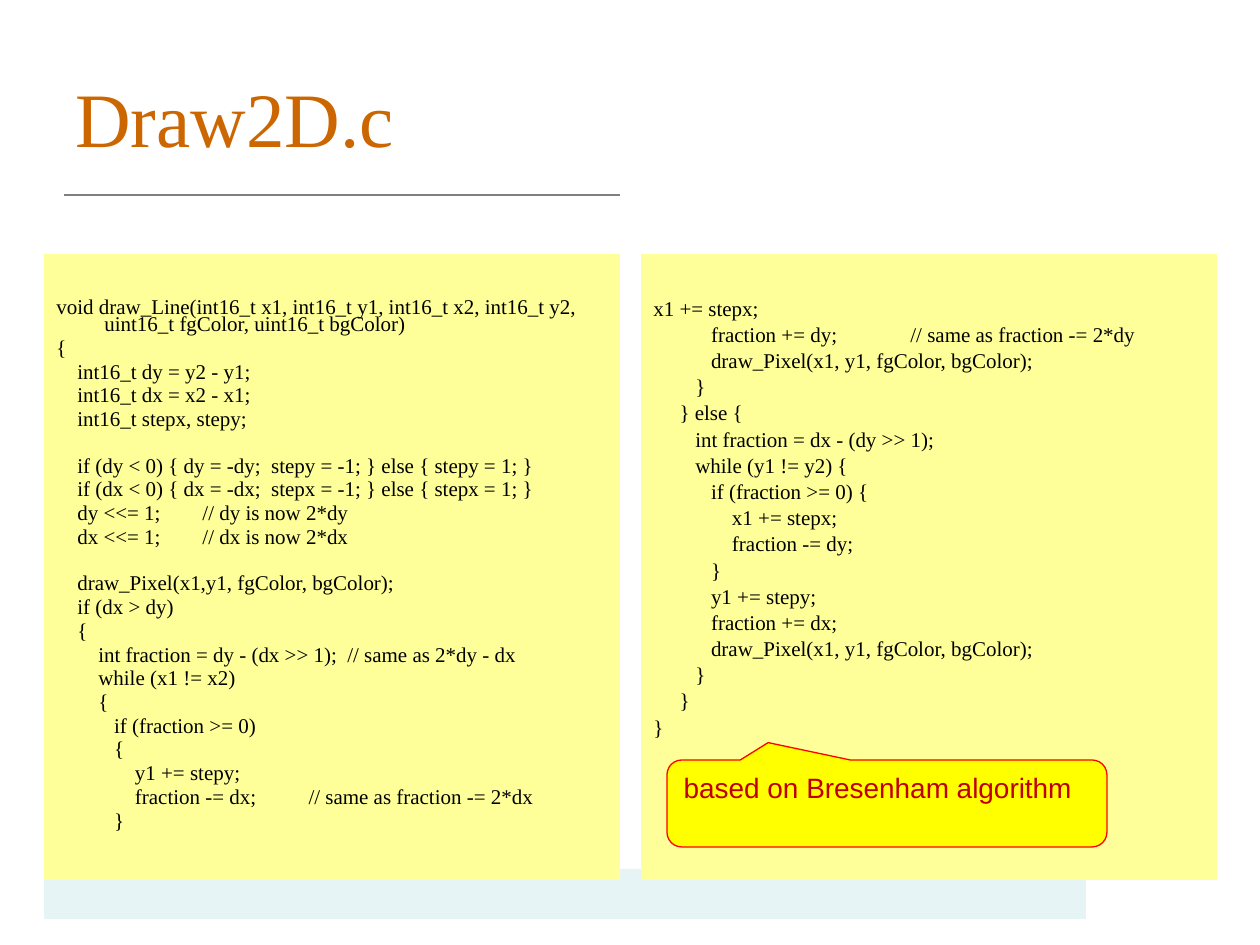
"""Build the Draw2D.c slide with two code panels and a callout."""
from dataclasses import dataclass

from lxml import etree
from pptx import Presentation
from pptx.dml.color import RGBColor
from pptx.enum.shapes import MSO_CONNECTOR, MSO_SHAPE
from pptx.enum.text import MSO_ANCHOR, PP_ALIGN
from pptx.oxml.ns import qn
from pptx.util import Emu, Pt

RECTANGLE = MSO_SHAPE.RECTANGLE
CALLOUT = MSO_SHAPE.ROUNDED_RECTANGULAR_CALLOUT
STRAIGHT = MSO_CONNECTOR.STRAIGHT
TOP, MIDDLE = MSO_ANCHOR.TOP, MSO_ANCHOR.MIDDLE
LEFT = PP_ALIGN.LEFT
EMU_PER_PX = 914400 / 126


@dataclass(frozen=True)
class Theme:
    title: str = "CC6600"
    rule: str = "808080"
    band: str = "E7F4F5"
    panel: str = "FFFF99"
    code: str = "000000"
    callout: str = "FFFF00"
    callout_line: str = "FF0000"
    callout_text: str = "C00000"
    serif: str = "Times New Roman"
    sans: str = "Arial"
    title_size: int = 44
    code_size: int = 12
    callout_size: int = 16
    line_width: float = 0.75
    code_gap: float = 3.45
    natural_line: float = 13.8


@dataclass(frozen=True)
class Box:
    left: int
    top: int
    width: int
    height: int


@dataclass(frozen=True)
class CodePanel:
    box: Box
    line_spacing: float
    code: str


THEME = Theme()
BAND = Box(44, 869, 1042, 50)
TITLE = Box(63, 38, 1134, 157)
CALLOUT_BOX = Box(667, 760, 440, 87)
CODE_TOP = 46
CODE_INDENT = 48

PANELS = (
    CodePanel(Box(44, 254, 576, 626), 0.7, """\
void draw_Line(int16_t x1, int16_t y1, int16_t x2, int16_t y2, uint16_t fgColor, uint16_t bgColor)
{
    int16_t dy = y2 - y1;
    int16_t dx = x2 - x1;
    int16_t stepx, stepy;

    if (dy < 0) { dy = -dy;  stepy = -1; } else { stepy = 1; }
    if (dx < 0) { dx = -dx;  stepx = -1; } else { stepx = 1; }
    dy <<= 1;        // dy is now 2*dy
    dx <<= 1;        // dx is now 2*dx

    draw_Pixel(x1,y1, fgColor, bgColor);
    if (dx > dy)
    {
        int fraction = dy - (dx >> 1);  // same as 2*dy - dx
        while (x1 != x2)
        {
           if (fraction >= 0)
           {
               y1 += stepy;
               fraction -= dx;          // same as fraction -= 2*dx
           }"""),
    CodePanel(Box(641, 254, 576, 626), 0.8, """\
x1 += stepx;
           fraction += dy;              // same as fraction -= 2*dy
           draw_Pixel(x1, y1, fgColor, bgColor);
        }
     } else {
        int fraction = dx - (dy >> 1);
        while (y1 != y2) {
           if (fraction >= 0) {
               x1 += stepx;
               fraction -= dy;
           }
           y1 += stepy;
           fraction += dx;
           draw_Pixel(x1, y1, fgColor, bgColor);
        }
     }
}"""),
)


def px(length: int) -> Emu:
    """Turn pixels into EMU."""
    return Emu(round(length * EMU_PER_PX))


def place(box: Box) -> tuple[Emu, Emu, Emu, Emu]:
    """Return the four lengths of a box in EMU."""
    return px(box.left), px(box.top), px(box.width), px(box.height)


def add_filled(slide, kind, box: Box, fill: str):
    """Add a flat filled shape without outline."""
    shape = slide.shapes.add_shape(kind, *place(box))
    shape.shadow.inherit = False
    shape.fill.solid()
    shape.fill.fore_color.rgb = RGBColor.from_string(fill)
    shape.line.fill.background()
    return shape


def style(paragraph, face: str, size: int, colour: str) -> None:
    """Align a paragraph left and format its runs."""
    paragraph.alignment = LEFT
    for run in paragraph.runs:
        run.font.name = face
        run.font.size = Pt(size)
        run.font.color.rgb = RGBColor.from_string(colour)


def add_rule(slide) -> None:
    """Draw the rule under the title."""
    rule = slide.shapes.add_connector(STRAIGHT, px(620), px(195), px(64), px(195))
    rule.line.color.rgb = RGBColor.from_string(THEME.rule)
    rule.line.width = Pt(THEME.line_width)
    etree.SubElement(rule.element.spPr, qn("a:effectLst"))


def add_code(slide, panel: CodePanel) -> None:
    """Draw a code panel, turning empty code lines into paragraph spacing."""
    frame = add_filled(slide, RECTANGLE, panel.box, THEME.panel).text_frame
    frame.word_wrap = True
    frame.vertical_anchor = TOP
    frame.margin_top = px(CODE_TOP)
    pitch = THEME.natural_line * panel.line_spacing + THEME.code_gap
    paragraph, gap = frame.paragraphs[0], 0
    for line in panel.code.split("\n"):
        if not line:
            gap += pitch
            continue
        if paragraph.text:
            paragraph = frame.add_paragraph()
        paragraph.text = line
        paragraph.line_spacing = panel.line_spacing
        paragraph.space_before = Pt(gap)
        properties = paragraph._p.get_or_add_pPr()
        properties.set("marL", str(px(CODE_INDENT)))
        properties.set("indent", str(-px(CODE_INDENT)))
        style(paragraph, THEME.serif, THEME.code_size, THEME.code)
        gap = THEME.code_gap


def add_callout(slide) -> None:
    """Draw the callout that names the algorithm."""
    callout = add_filled(slide, CALLOUT, CALLOUT_BOX, THEME.callout)
    for index, value in enumerate((-0.27, -0.7, 0.17)):
        callout.adjustments[index] = value
    callout.line.color.rgb = RGBColor.from_string(THEME.callout_line)
    callout.line.width = Pt(THEME.line_width)
    frame = callout.text_frame
    frame.word_wrap = True
    frame.vertical_anchor = TOP
    frame.text = "based on Bresenham algorithm"
    style(frame.paragraphs[0], THEME.sans, THEME.callout_size, THEME.callout_text)


def add_title(slide) -> None:
    """Write the slide title."""
    frame = slide.shapes.add_textbox(*place(TITLE)).text_frame
    frame.word_wrap = True
    frame.vertical_anchor = MIDDLE
    frame.text = "Draw2D.c"
    style(frame.paragraphs[0], THEME.serif, THEME.title_size, THEME.title)


def main() -> None:
    """Build and save the slide."""
    deck = Presentation()
    deck.slide_width, deck.slide_height = px(1260), px(945)
    slide = deck.slides.add_slide(deck.slide_layouts[6])
    add_filled(slide, RECTANGLE, BAND, THEME.band)
    add_rule(slide)
    for panel in PANELS:
        add_code(slide, panel)
    add_callout(slide)
    add_title(slide)
    deck.save("out.pptx")


if __name__ == "__main__":
    main()
